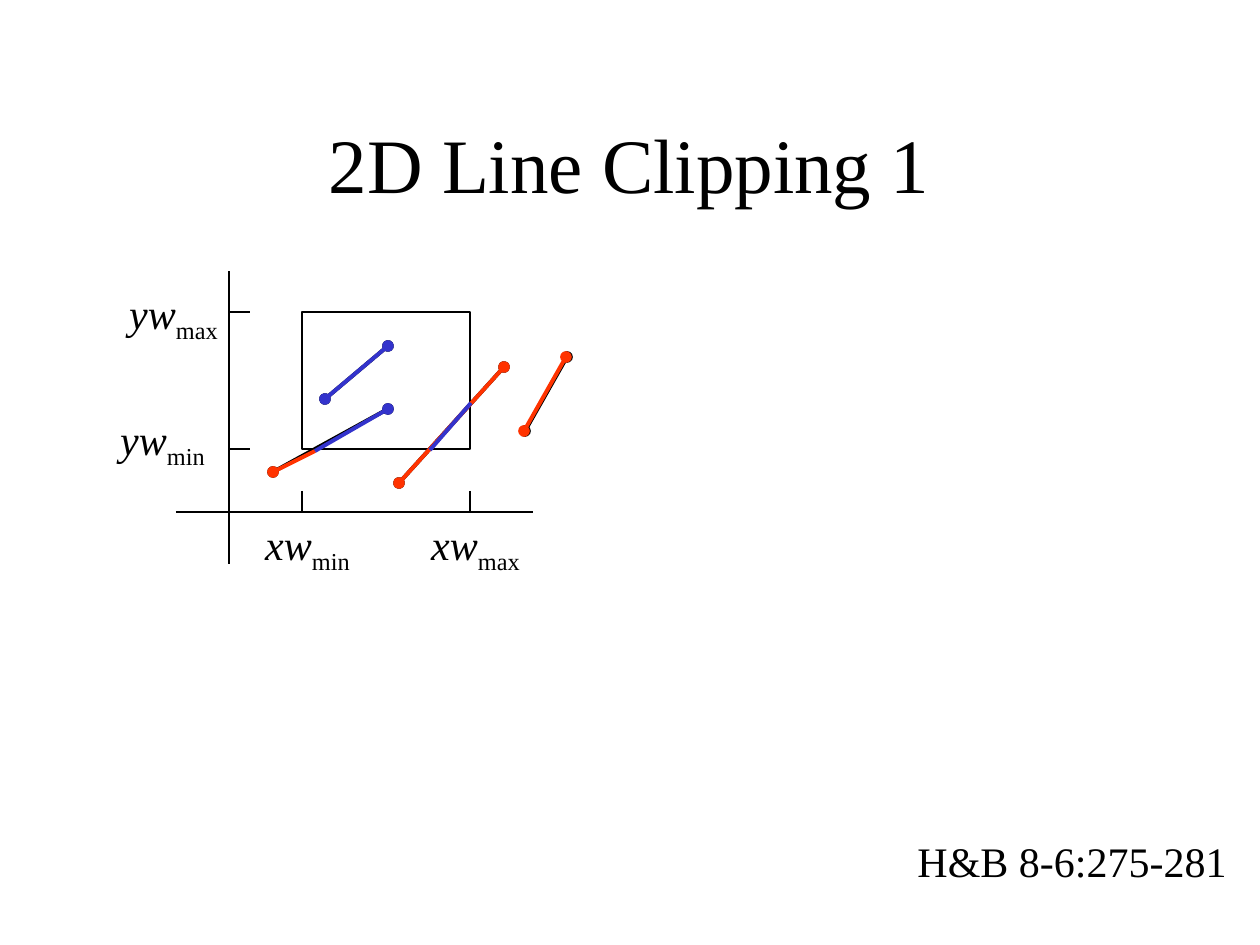
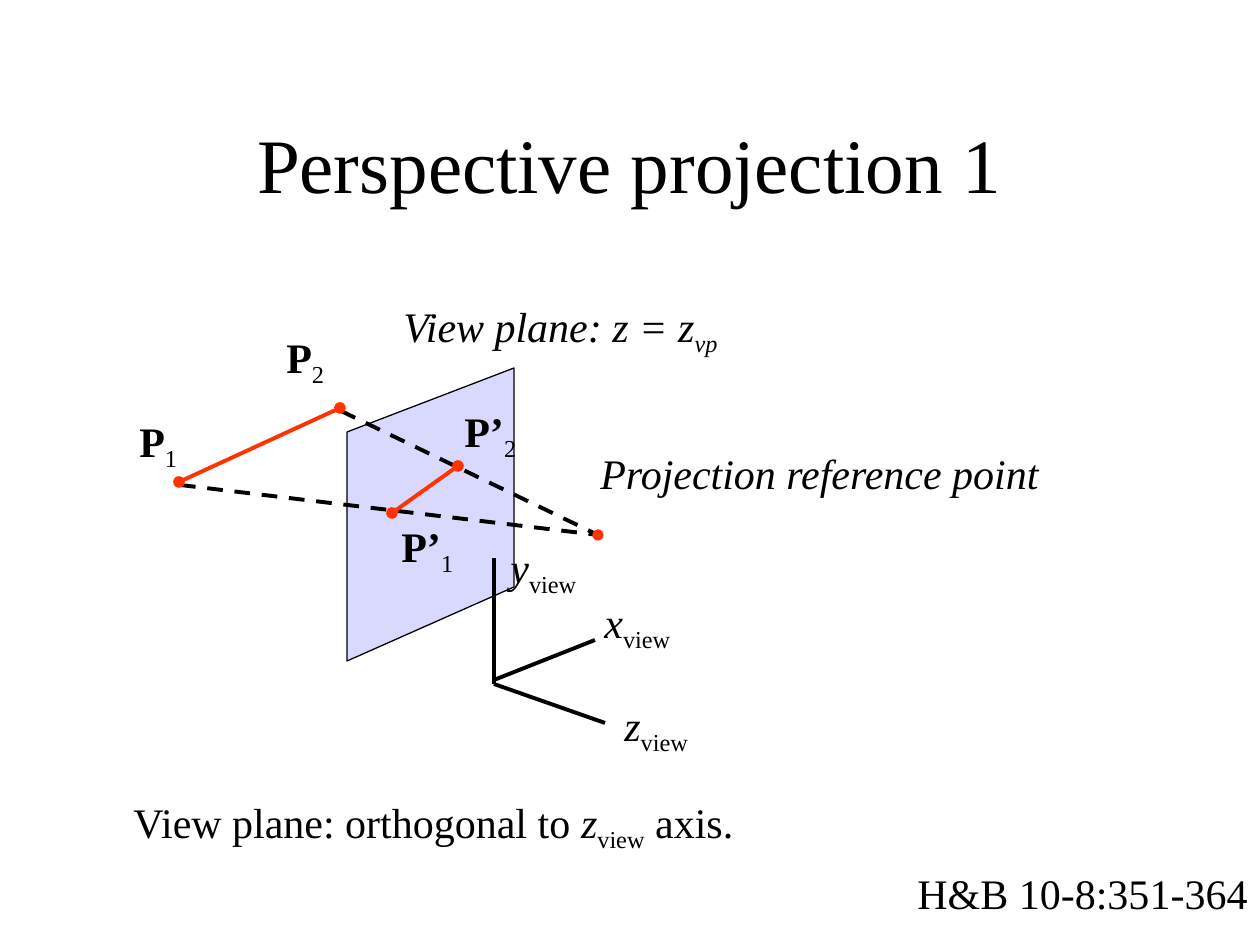
"""Build two slides on line clipping and perspective projection."""
import pptx
import pptx.util
import pptx.dml.color
import pptx.enum.dml
import pptx.enum.shapes
import pptx.enum.text
from lxml import etree

PX = 914400 / 126
FONT = "Times New Roman"
COLORS = {"ink": "000000", "outside": "FF3300", "inside": "3333CC", "plane": "D9D9FF"}
NS = "{http://schemas.openxmlformats.org/drawingml/2006/main}"
RGB = {name: pptx.dml.color.RGBColor.from_string(value) for name, value in COLORS.items()}
ALIGN = pptx.enum.text.PP_ALIGN
BOTH = ("headEnd", "tailEnd")


def add_text(s, text, x, y, w, h=70, size=24, align=ALIGN.LEFT, wrap=False):
    """Add a box; text is a string or (text, style) runs, style from b, i and _ for subscript."""
    tf = s.shapes.add_textbox(*[round(v * PX) for v in (x, y, w, h)]).text_frame
    tf.word_wrap = wrap
    tf.vertical_anchor = pptx.enum.text.MSO_ANCHOR.MIDDLE if wrap else pptx.enum.text.MSO_ANCHOR.TOP
    if not wrap:
        tf.auto_size = pptx.enum.text.MSO_AUTO_SIZE.SHAPE_TO_FIT_TEXT
    p = tf.paragraphs[0]
    p.alignment = align
    for part, style in [(text, "")] if isinstance(text, str) else text:
        r = p.add_run()
        r.text = part
        r.font.name = FONT
        r.font.size = pptx.util.Pt(size)
        r.font.bold = "b" in style
        r.font.italic = "i" in style
        r.font.color.rgb = RGB["ink"]
        if "_" in style:
            r._r.get_or_add_rPr().set("baseline", "-25000")


def add_line(s, x1, y1, x2, y2, color="ink", width=2.25, ends=(), dash=False):
    points = [round(v * PX) for v in (x1, y1, x2, y2)]
    c = s.shapes.add_connector(pptx.enum.shapes.MSO_CONNECTOR.STRAIGHT, *points)
    c.line.color.rgb = RGB[color]
    c.line.width = pptx.util.Pt(width)
    if dash:
        c.line.dash_style = pptx.enum.dml.MSO_LINE.DASH
    for end in ends:
        etree.SubElement(c.line._get_or_add_ln(), NS + end, type="oval")
    etree.SubElement(c._element.spPr, NS + "effectLst")


prs = pptx.Presentation()
prs.slide_width, prs.slide_height = round(1260 * PX), round(945 * PX)

slides = []
for title, cite, cite_y, cite_w in [
    ("2D Line Clipping 1", "H&B 8-6:275-281", 829, 334),
    ("Perspective projection 1", "H&B 10-8:351-364", 861, 355),
]:
    s = prs.slides.add_slide(prs.slide_layouts[6])
    add_text(s, title, 94, 84, 1071, 158, size=44, align=ALIGN.CENTER, wrap=True)
    add_text(s, cite, 905, cite_y, cite_w, 63)
    slides.append(s)
clipping, projection = slides

s = clipping
axis_x, axis_y = 229, 512
left, top, right, bottom = 302, 312, 470, 449
add_line(s, 176, axis_y, 533, axis_y, width=1.5)
add_line(s, axis_x, 564, axis_x, 271, width=1.5)
for x in (left, right):
    add_line(s, x, axis_y - 21, x, axis_y, width=0.75)
for y in (bottom, top):
    add_line(s, axis_x, y, axis_x + 21, y, width=0.75)
for name, limit, x, y in [
    ("xw", "min", 249, axis_y),
    ("xw", "max", 417, axis_y),
    ("yw", "max", 115, 281),
    ("yw", "min", 104, 407),
]:
    add_text(s, [(name, "i"), (limit, "_")], x, y, 117, align=ALIGN.CENTER)

box = [round(v * PX) for v in (left, top, right - left, bottom - top)]
window = s.shapes.add_shape(pptx.enum.shapes.MSO_SHAPE.RECTANGLE, *box)
window.shadow.inherit = False
window.fill.background()
window.line.color.rgb = RGB["ink"]
window.line.width = pptx.util.Pt(1.5)

for segment in [(399, 483, 504, 367), (325, 399, 388, 346), (525, 431, 567, 357), (273, 472, 388, 409)]:
    add_line(s, *segment, ends=BOTH)
for segment, color, ends in [
    ((399, 483, 504, 367), "outside", BOTH),
    ((471, 403, 430, 450), "inside", ()),
    ((273, 472, 315, 451), "outside", BOTH[:1]),
    ((315, 451, 388, 409), "inside", BOTH[1:]),
    ((325, 399, 388, 346), "inside", BOTH),
    ((524, 431, 566, 357), "outside", BOTH),
]:
    add_line(s, *segment, color=color, ends=ends)

s = projection
eye = (598, 535)
corners = [(347, 661), (514, 587), (514, 368), (347, 432)]
builder = s.shapes.build_freeform(*corners[0], scale=PX)
builder.add_line_segments(corners[1:], close=True)
plane = builder.convert_to_shape()
plane.shadow.inherit = False
plane.fill.solid()
plane.fill.fore_color.rgb = RGB["plane"]
plane.line.color.rgb = RGB["ink"]
plane.line.width = pptx.util.Pt(0.75)

for start in [(341, 411), (180, 485)]:
    add_line(s, *start, *eye, dash=True)
for segment in [(340, 408, 179, 482), (458, 466, 392, 513), (*eye, *eye)]:
    add_line(s, *segment, color="outside", ends=BOTH)
for axis in [(494, 684, 605, 723), (494, 684, 494, 558), (494, 680, 595, 640)]:
    add_line(s, *axis)

box = [round(v * PX) for v in (eye[0] - 5, eye[1] - 5, 10, 10)]
dot = s.shapes.add_shape(pptx.enum.shapes.MSO_SHAPE.OVAL, *box)
dot.shadow.inherit = False
dot.fill.solid()
dot.fill.fore_color.rgb = RGB["outside"]
dot.line.color.rgb = RGB["outside"]
dot.line.width = pptx.util.Pt(0.75)

for point, index, x, y, w in [
    ("P", "1", 127, 409, 63),
    ("P", "2", 274, 325, 63),
    ("P’", "1", 389, 514, 78),
    ("P’", "2", 452, 399, 78),
]:
    add_text(s, [(point, "b"), (index, "_")], x, y, w)
for axis, x, y in [("z", 612, 693), ("x", 592, 590), ("y", 498, 535)]:
    add_text(s, [(axis, "i"), ("view", "_")], x, y, 94)
add_text(s, [("View plane: z = z", "i"), ("vp", "i_")], 391, 294, 343)
add_text(s, [("Projection reference point", "i")], 588, 441, 467, 63)
add_text(s, [("View plane: orthogonal to ", ""), ("z", "i"), ("view", "_"), (" axis.", "")], 121, 790, 628)

prs.save("out.pptx")
